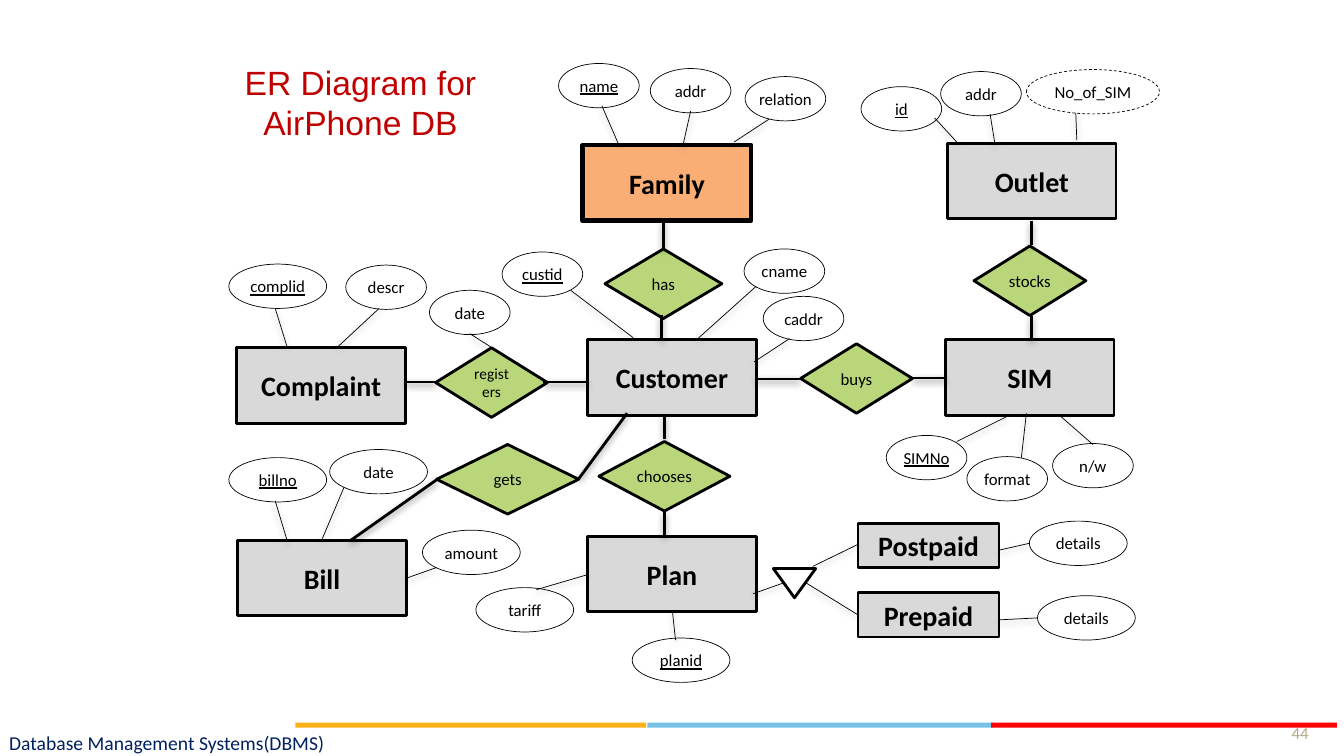
import pptx
import pptx.util
import pptx.dml.color
import pptx.enum.dml
import pptx.enum.shapes
import pptx.enum.text
import pptx.oxml
from dataclasses import dataclass

Inches = pptx.util.Inches
Pt = pptx.util.Pt
RGB = pptx.dml.color.RGBColor.from_string
Shape = pptx.enum.shapes.MSO_SHAPE
Align = pptx.enum.text.PP_ALIGN
Anchor = pptx.enum.text.MSO_ANCHOR


@dataclass
class Theme:
    ink: str = "000000"
    entity: str = "D9D9D9"
    weak_entity: str = "FAAE76"
    relationship: str = "B9D77A"
    title: str = "C00000"
    footer: str = "002060"
    number: str = "B5A788"
    stripes: tuple = ("FCB017", "76C2E5", "FF0000")
    body_font: str = "Calibri"
    title_font: str = "Arial"
    title_size: float = 24
    entity_size: float = 20
    footer_size: float = 14
    label_size: float = 12
    small_size: float = 11
    thin: float = 0.5
    thick: float = 2
    heavy: float = 3.25


theme = Theme()
presentation = pptx.Presentation()
presentation.slide_width = Inches(13.33)
presentation.slide_height = Inches(7.5)
slide = presentation.slides.add_slide(presentation.slide_layouts[6])


def add_text(shape, lines, size, color=theme.ink, font=theme.body_font, align=Align.CENTER,
             anchor=Anchor.MIDDLE, side=0.1, edge=0.05, bold=False, underline=False):
    frame = shape.text_frame
    frame.word_wrap = True
    frame.vertical_anchor = anchor
    frame.margin_left = frame.margin_right = Inches(side)
    frame.margin_top = frame.margin_bottom = Inches(edge)
    for index, line in enumerate(lines):
        paragraph = frame.add_paragraph() if index else frame.paragraphs[0]
        paragraph.alignment = align
        run = paragraph.add_run()
        run.text = line
        run.font.name = font
        run.font.size = Pt(size)
        run.font.bold = bold
        run.font.underline = underline
        run.font.color.rgb = RGB(color)


def add_outline(kind, left, top, width, height, fill=None, line=None):
    shape = slide.shapes.add_shape(kind, Inches(left), Inches(top), Inches(width), Inches(height))
    shape.shadow.inherit = False
    if fill:
        shape.fill.solid()
        shape.fill.fore_color.rgb = RGB(fill)
    else:
        shape.fill.background()
    if line:
        shape.line.color.rgb = RGB(theme.ink)
        shape.line.width = Pt(line)
    else:
        shape.line.fill.background()
    return shape


entities = [
    ("Customer", 5.83, 3.37, 1.67, 0.75),
    ("SIM", 9.38, 3.37, 1.67, 0.75),
    ("Plan", 5.83, 5.32, 1.67, 0.75),
    ("Family", 5.78, 1.44, 1.67, 0.75),
    ("Outlet", 9.4, 1.42, 1.67, 0.75),
    ("Complaint", 2.35, 3.45, 1.67, 0.75),
    ("Bill", 2.36, 5.36, 1.67, 0.75),
    ("Postpaid", 8.51, 5.19, 1.4, 0.44),
    ("Prepaid", 8.51, 5.88, 1.4, 0.44),
]
for name, left, top, width, height in entities:
    is_family = name == "Family"
    entity = add_outline(Shape.RECTANGLE, left, top, width, height,
                         theme.weak_entity if is_family else theme.entity,
                         theme.heavy if is_family else theme.thick)
    add_text(entity, [name], theme.entity_size, bold=True)

relationships = [
    ("has", 6, 2.47, 1.16, theme.label_size, 0),
    ("buys", 7.94, 3.41, 1.11, theme.label_size, 0.1),
    ("registers", 4.32, 3.45, 1.11, theme.small_size, 0.1),
    ("chooses", 5.94, 4.38, 1.3, theme.label_size, 0),
    ("stocks", 9.66, 2.44, 1.11, theme.label_size, 0),
    ("gets", 4.33, 4.41, 1.41, theme.label_size, 0),
]
for name, left, top, width, size, side in relationships:
    diamond = add_outline(Shape.DIAMOND, left, top, width, 0.69, theme.relationship, theme.thick)
    add_text(diamond, [name], size, side=side)

add_outline(Shape.FLOWCHART_MERGE, 7.67, 5.64, 0.42, 0.29, line=theme.thick)

relationship_lines = [
    (6.58, 2.19, 6.58, 2.47), (6.56, 3.13, 6.56, 3.37), (6.59, 4.12, 6.59, 4.36),
    (6.59, 5.07, 6.59, 5.32), (7.94, 3.76, 7.5, 3.76), (9.38, 3.75, 9.05, 3.75),
    (5.83, 3.79, 5.39, 3.79), (4.33, 3.79, 4.02, 3.79), (4.33, 4.76, 3.48, 5.36),
    (6.22, 4.1, 5.74, 4.75), (10.23, 2.19, 10.23, 2.43), (10.23, 3.14, 10.23, 3.38),
]
attribute_lines = [
    (7.5, 2.84, 6.91, 3.37), (5.66, 2.88, 6.28, 3.35), (7.83, 3.36, 7.48, 3.59),
    (5.97, 1.05, 6.13, 1.42), (2.73, 3.06, 2.85, 3.45), (3.76, 3.06, 3.34, 3.45),
    (4.66, 3.31, 4.88, 3.45), (6.85, 1.1, 6.77, 1.46), (7.63, 1.18, 7.28, 1.41),
    (2.73, 4.97, 2.85, 5.37), (9.27, 1.17, 9.49, 1.41), (9.82, 1.13, 9.87, 1.44),
    (10.67, 1.12, 10.68, 1.39), (9.49, 4.38, 9.99, 4.13), (10.18, 4.1, 10.13, 4.54),
    (10.52, 4.13, 10.84, 4.41), (3.41, 4.84, 3.19, 5.36), (4.33, 5.63, 4.02, 5.74),
    (5.83, 5.7, 5.32, 5.85), (6.67, 6.07, 6.7, 6.35), (7.78, 5.78, 7.47, 5.89),
    (8.51, 5.4, 8.06, 5.62), (8.51, 6.1, 7.99, 5.78), (10.21, 5.39, 9.9, 5.46),
    (10.29, 6.13, 9.9, 6.15),
]
shadow_xml = (
    '<a:effectLst xmlns:a="http://schemas.openxmlformats.org/drawingml/2006/main">'
    f'<a:outerShdw blurRad="{Pt(5)}" dist="{Pt(2)}" dir="5400000" rotWithShape="0">'
    f'<a:srgbClr val="{theme.ink}"><a:alpha val="43000"/></a:srgbClr>'
    '</a:outerShdw></a:effectLst>'
)
for lines, weight in ((relationship_lines, theme.thick), (attribute_lines, theme.thin)):
    for ends in lines:
        connector = slide.shapes.add_connector(pptx.enum.shapes.MSO_CONNECTOR.STRAIGHT,
                                               *[Inches(value) for value in ends])
        connector.line.color.rgb = RGB(theme.ink)
        connector.line.width = Pt(weight)
        connector._element.spPr.append(pptx.oxml.parse_xml(shadow_xml))

keys = {"custid", "name", "complid", "billno", "id", "SIMNo", "planid"}
attributes = [
    ("custid", 4.98, 2.5, 0.8), ("cname", 7.38, 2.47, 0.8), ("caddr", 7.57, 2.94, 0.8),
    ("name", 5.54, 0.63, 0.8), ("addr", 6.45, 0.68, 0.8), ("relation", 7.39, 0.76, 0.8),
    ("complid", 2.27, 2.62, 0.97), ("descr", 3.43, 2.63, 0.8), ("date", 4.26, 2.88, 0.8),
    ("billno", 2.27, 4.54, 0.97), ("date", 3.27, 4.46, 0.97), ("amount", 4.19, 5.26, 0.97),
    ("id", 8.54, 0.86, 0.8), ("addr", 9.33, 0.71, 0.8), ("No_of_SIM", 10.18, 0.69, 1.32),
    ("SIMNo", 8.79, 4.32, 0.8), ("format", 9.59, 4.53, 0.8), ("n/w", 10.44, 4.4, 0.8),
    ("tariff", 4.72, 5.83, 0.97), ("planid", 6.27, 6.33, 0.97),
    ("details", 10.21, 5.17, 0.97), ("details", 10.29, 5.91, 0.97),
]
for name, left, top, width in attributes:
    ellipse = add_outline(Shape.OVAL, left, top, width, 0.44, line=theme.thin)
    if name == "No_of_SIM":
        ellipse.line.dash_style = pptx.enum.dml.MSO_LINE.DASH
    add_text(ellipse, [name], theme.label_size, side=0, underline=name in keys)

title = slide.shapes.add_textbox(Inches(2.14), Inches(0.56), Inches(3.06), Inches(0.91))
add_text(title, ["ER Diagram for", "AirPhone DB"], theme.title_size, theme.title,
         theme.title_font, anchor=Anchor.TOP)
title.text_frame.paragraphs[0]._p.get_or_add_pPr().set("marR", str(Inches(0.19)))

for color, left, width in zip(theme.stripes, (2.93, 6.42, 9.83), (3.48, 3.43, 3.43)):
    add_outline(Shape.RECTANGLE, left, 7.17, width, 0.05, color)

footer = slide.shapes.add_textbox(Inches(0.09), Inches(7.23), Inches(4.96), Inches(0.27))
add_text(footer, ["Database Management Systems(DBMS)"], theme.footer_size, theme.footer,
         align=Align.LEFT, side=0, edge=0)

number = slide.shapes.add_textbox(Inches(12.56), Inches(6.9), Inches(0.67), Inches(0.52))
add_text(number, ["44"], theme.label_size, theme.number, anchor=Anchor.BOTTOM)

presentation.save("out.pptx")
